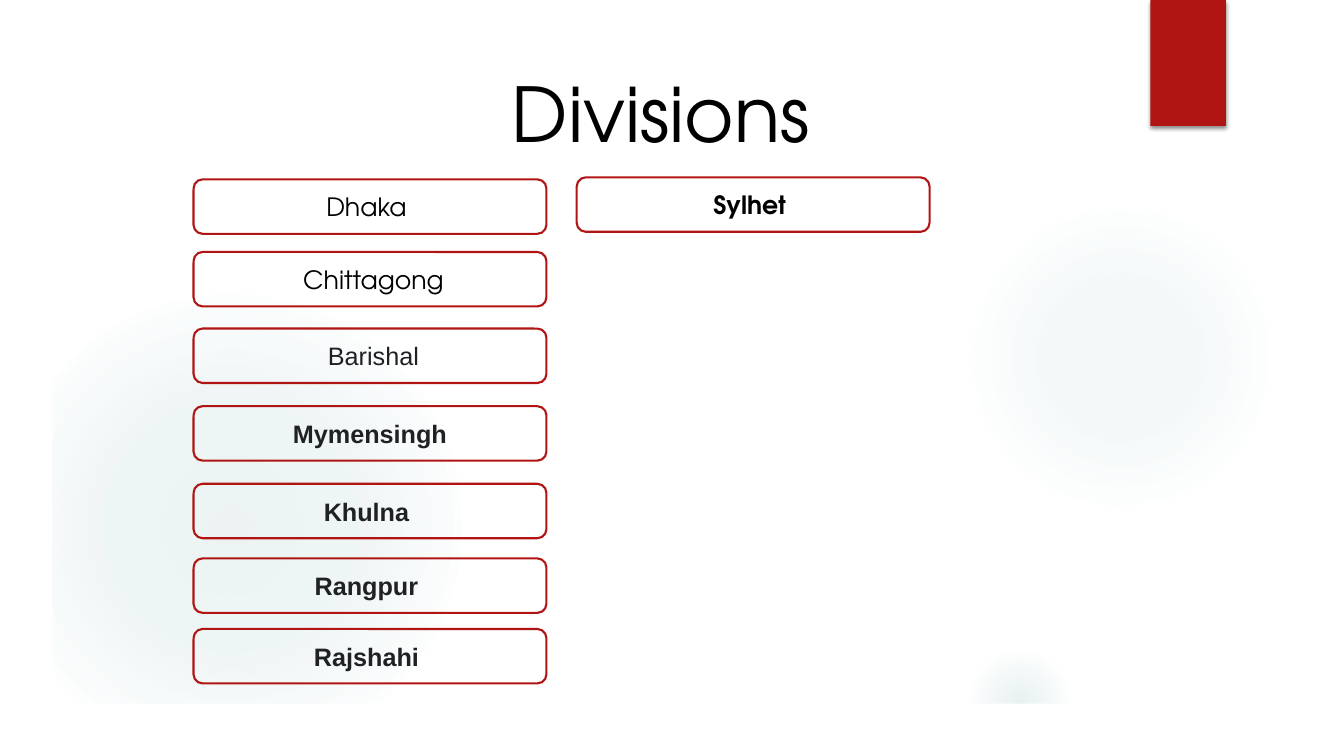
import pptx
import pptx.util
import pptx.oxml
import pptx.oxml.ns
import pptx.dml.color
import pptx.enum.text
import pptx.enum.shapes

Inches = pptx.util.Inches
Pt = pptx.util.Pt
Kind = pptx.enum.shapes.MSO_SHAPE
Anchor = pptx.enum.text.MSO_ANCHOR
NS = pptx.oxml.ns.nsdecls("a")
HUES = {"red": "B01513", "teal": "5F9C9D", "white": "FFFFFF",
        "black": "000000", "ink": "202124"}
ROUND, PLAIN = "TeX Gyre Adventor", "Arial"


def hue(name):
    return pptx.dml.color.RGBColor.from_string(HUES[name])


class Deck:
    def __init__(self):
        self.file = pptx.Presentation()
        self.file.slide_width = Inches(13.33)
        self.file.slide_height = Inches(7.5)
        self.slide = self.file.slides.add_slide(self.file.slide_layouts[5])

    def shape(self, kind, left, top, width, height, fill=None):
        item = self.slide.shapes.add_shape(
            kind, Inches(left), Inches(top), Inches(width), Inches(height))
        item.shadow.inherit = False
        item.line.fill.background()
        if fill:
            item.fill.solid()
            item.fill.fore_color.rgb = hue(fill)
        else:
            item.fill.background()
        return item

    def glow(self, left, top, size, stops):
        item = self.shape(Kind.OVAL, left, top, size, size)
        marks = "".join(
            f'<a:gs pos="{pos * 1000}"><a:srgbClr val="{HUES["teal"]}">'
            f'<a:alpha val="{alpha * 1000}"/></a:srgbClr></a:gs>'
            for pos, alpha in stops)
        grad = pptx.oxml.parse_xml(
            f'<a:gradFill {NS} rotWithShape="1"><a:gsLst>{marks}</a:gsLst>'
            '<a:path path="circle"><a:fillToRect l="50000" t="50000" '
            'r="50000" b="50000"/></a:path></a:gradFill>')
        props = item._element.spPr
        props.replace(props.find(pptx.oxml.ns.qn("a:noFill")), grad)

    def frame(self, edge):
        item = self.shape(Kind.FRAME, 0, 0, 13.33, 7.5, "white")
        item.adjustments[0] = edge / 7.5

    def ribbon(self, left, top, width, height):
        item = self.shape(Kind.RECTANGLE, left, top, width, height, "red")
        shade = pptx.oxml.parse_xml(
            f'<a:outerShdw {NS} blurRad="{Pt(3)}" dist="{Pt(2)}" '
            f'dir="5400000" rotWithShape="0"><a:srgbClr val="{HUES["black"]}">'
            '<a:alpha val="45000"/></a:srgbClr></a:outerShdw>')
        item._element.spPr.find(pptx.oxml.ns.qn("a:effectLst")).append(shade)

    def label(self, item, text, size, face, tint, bold, anchor):
        body = item.text_frame
        body.text = text
        body.word_wrap = True
        body.auto_size = pptx.enum.text.MSO_AUTO_SIZE.NONE
        body.vertical_anchor = anchor
        para = body.paragraphs[0]
        para.alignment = pptx.enum.text.PP_ALIGN.CENTER
        para.font.size = Pt(size)
        para.font.name = face
        para.font.bold = bold
        para.font.color.rgb = hue(tint)

    def title(self, text, left, top, width, height):
        item = self.slide.shapes.title
        item.left, item.top = Inches(left), Inches(top)
        item.width, item.height = Inches(width), Inches(height)
        self.label(item, text, 54, ROUND, "black", False, Anchor.BOTTOM)

    def box(self, text, left, top, face, tint, bold):
        item = self.shape(Kind.ROUNDED_RECTANGLE, left, top, 3.5, 0.54)
        item.line.color.rgb = hue("red")
        item.line.width = Pt(1.5)
        self.label(item, text, 18, face, tint, bold, Anchor.MIDDLE)


def main():
    deck = Deck()
    deck.glow(9.58, 2, 3.08, [(0, 7), (36, 6), (69, 0), (100, 0)])
    deck.glow(9.58, 6.42, 1.08, [(0, 14), (36, 7), (66, 0), (100, 0)])
    deck.glow(0, 2.92, 4.58, [(0, 11), (36, 10), (75, 0), (100, 0)])
    deck.frame(0.52)
    deck.ribbon(11.41, 0, 0.75, 1.25)
    deck.title("Divisions", 1.73, 0.78, 9.65, 0.83)
    first, second = 1.92, 5.72
    for text, left, top, face, tint, bold in [
            ("Dhaka ", first, 1.78, ROUND, "black", False),
            (" Chittagong", first, 2.5, ROUND, "black", False),
            (" Barishal", first, 3.26, PLAIN, "ink", False),
            ("Mymensingh", first, 4.03, PLAIN, "ink", True),
            ("Khulna ", first, 4.8, PLAIN, "ink", True),
            ("Rangpur ", first, 5.54, PLAIN, "ink", True),
            ("Rajshahi ", first, 6.24, PLAIN, "ink", True),
            ("Sylhet ", second, 1.76, ROUND, "black", True)]:
        deck.box(text, left, top, face, tint, bold)
    deck.file.save("out.pptx")


if __name__ == "__main__":
    main()
